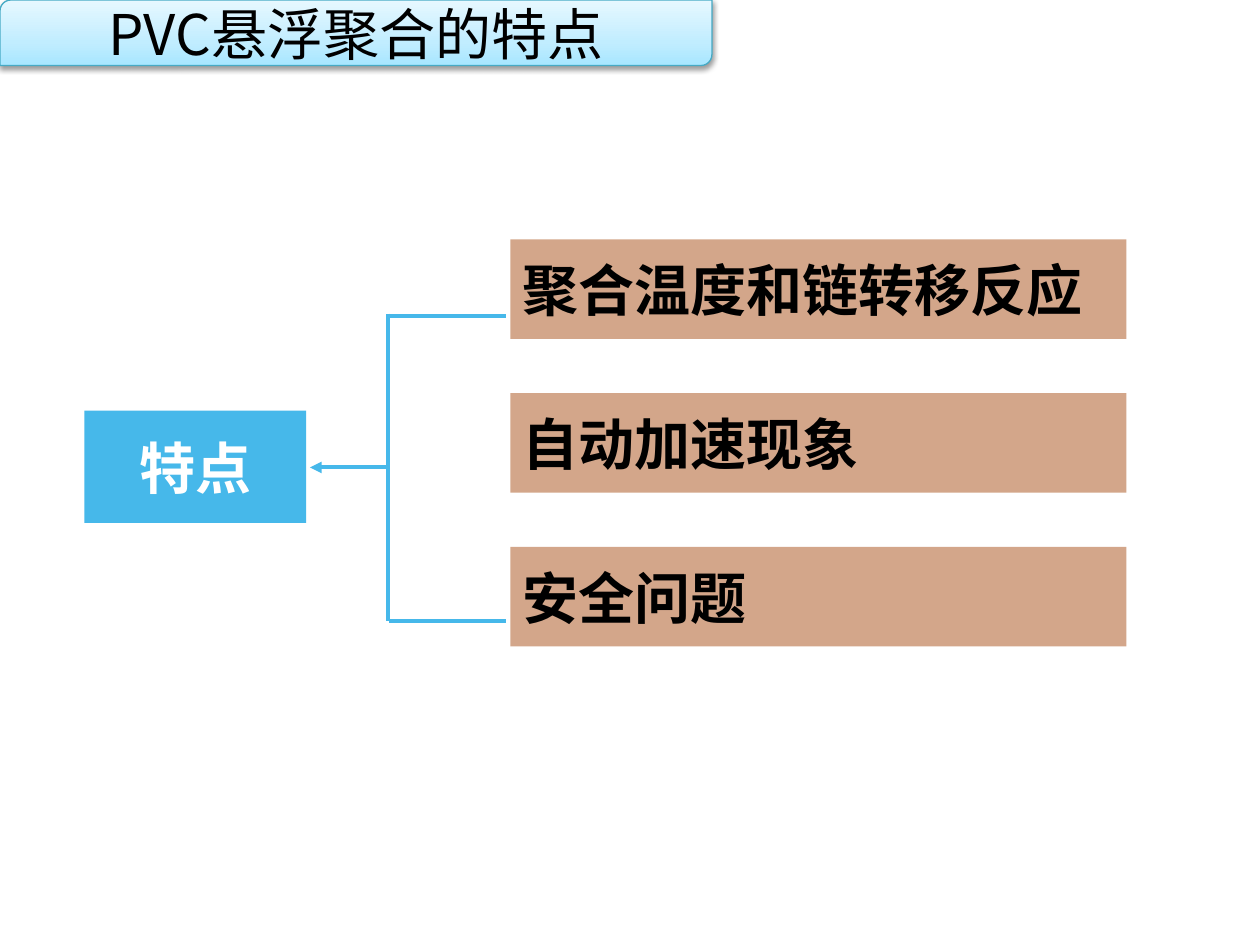
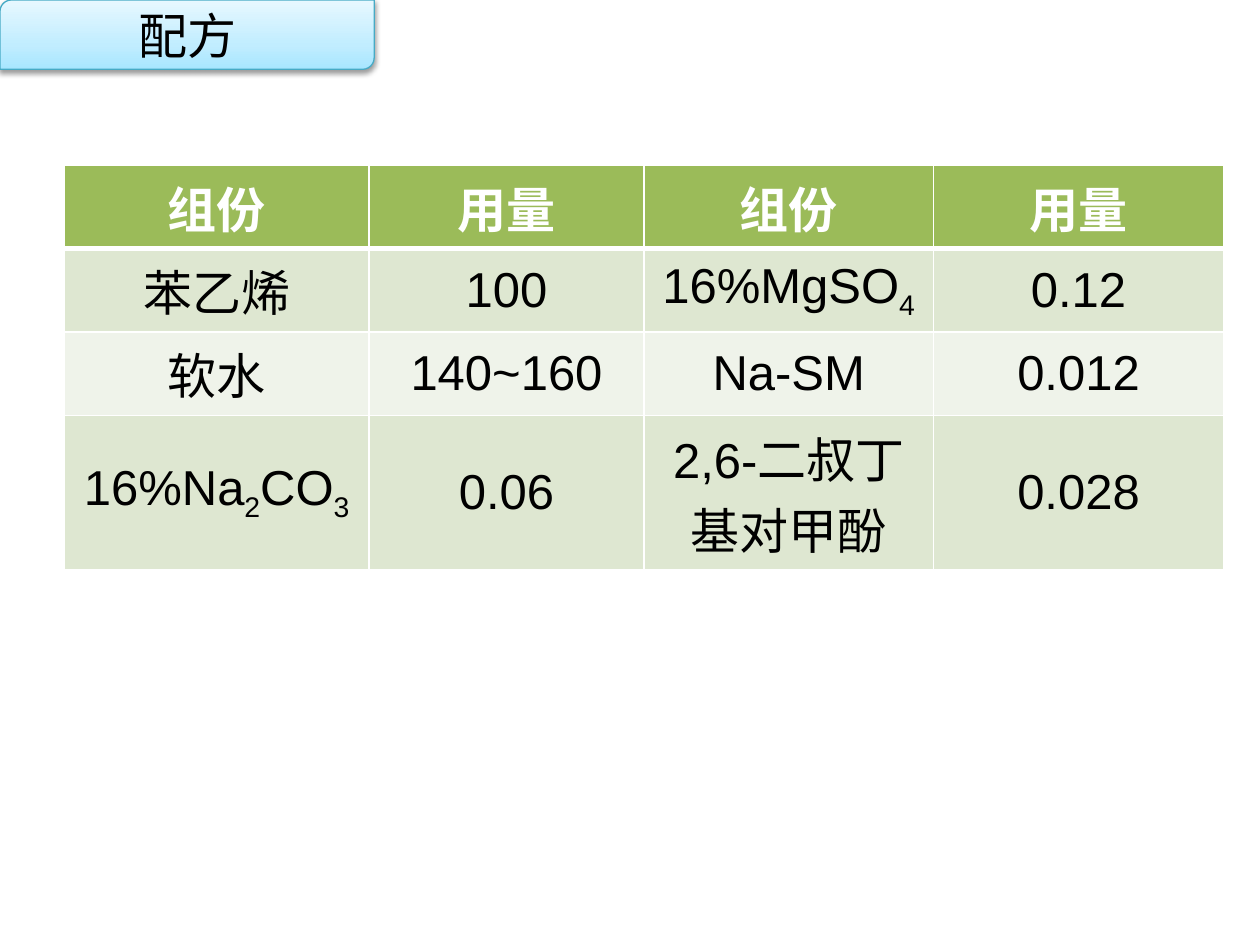
from dataclasses import dataclass

from lxml import etree
from pptx import Presentation
from pptx.dml.color import RGBColor
from pptx.enum.shapes import MSO_CONNECTOR, MSO_SHAPE
from pptx.enum.text import MSO_ANCHOR, MSO_AUTO_SIZE, PP_ALIGN
from pptx.oxml import parse_xml
from pptx.oxml.ns import nsdecls, qn
from pptx.util import Inches, Pt

RECT = MSO_SHAPE.RECTANGLE
BAND = MSO_SHAPE.ROUND_2_DIAG_RECTANGLE
STRAIGHT = MSO_CONNECTOR.STRAIGHT
MIDDLE = MSO_ANCHOR.MIDDLE
LEFT, CENTER = PP_ALIGN.LEFT, PP_ALIGN.CENTER
NO_FIT = MSO_AUTO_SIZE.NONE
TITLE_ONLY = 5


@dataclass(frozen=True)
class Theme:
    cjk: str = "Noto Sans CJK SC"
    latin: str = "Arial"
    black: str = "000000"
    white: str = "FFFFFF"
    blue: str = "46B8EA"
    tan: str = "D3A68A"
    band_line: str = "46AAC5"
    band_stops: tuple = ((0, "A7E6FF"), (35, "C1EDFF"), (100, "E7F8FF"))
    header: str = "9BBB59"
    stripes: tuple = ("DEE7D1", "EFF3EA")
    large: int = 32
    medium: int = 28
    rule: float = 2.25


T = Theme()


@dataclass(frozen=True)
class Box:
    text: str
    left: float
    top: float
    width: float
    height: float
    fill: str
    color: str
    align: PP_ALIGN


@dataclass(frozen=True)
class Link:
    x1: float
    y1: float
    x2: float
    y2: float
    arrow: bool = False


# Shared helpers
def rgb(value: str) -> RGBColor:
    return RGBColor.from_string(value)


def add_run(p, text: str, size: int, color: str, bold: bool = False,
            font: str = T.cjk, subscript: bool = False) -> None:
    r = p.add_run()
    r.text = text
    for name, value in {"name": font, "size": Pt(size), "bold": bold}.items():
        setattr(r.font, name, value)
    r.font.color.rgb = rgb(color)
    rPr = r.font._element
    etree.SubElement(rPr, qn("a:ea")).set("typeface", T.cjk)
    if subscript:
        rPr.set("baseline", "-25000")


def add_title(s, text: str, width: float, height: float, size: int) -> None:
    """Put the title over a glossy band in the top left corner."""
    place = (0, 0, Inches(width), Inches(height))
    band = s.shapes.add_shape(BAND, *place)
    band.line.color.rgb = rgb(T.band_line)
    band.line.width = Pt(0.75)
    spPr = band._element.spPr
    stops = "".join(f'<a:gs pos="{pos * 1000}"><a:srgbClr val="{color}"/></a:gs>'
                    for pos, color in T.band_stops)
    spPr.find(qn("a:ln")).addprevious(parse_xml(
        f'<a:gradFill {nsdecls("a")} rotWithShape="1"><a:gsLst>{stops}</a:gsLst>'
        '<a:lin ang="16200000" scaled="0"/></a:gradFill>'))
    spPr.append(parse_xml(
        f'<a:effectLst {nsdecls("a")}><a:outerShdw blurRad="40000" dist="20000" '
        f'dir="5400000" rotWithShape="0"><a:srgbClr val="{T.black}">'
        '<a:alpha val="38000"/></a:srgbClr></a:outerShdw></a:effectLst>'))

    title = s.shapes.title
    title._element.addprevious(band._element)
    for name, value in zip(("left", "top", "width", "height"), place):
        setattr(title, name, value)
    tf = title.text_frame
    for name, value in {"word_wrap": True, "auto_size": NO_FIT,
                        "vertical_anchor": MIDDLE}.items():
        setattr(tf, name, value)
    p = tf.paragraphs[0]
    p.alignment = CENTER
    add_run(p, text, size, T.black)


def add_box(s, box: Box) -> None:
    sp = s.shapes.add_shape(RECT, Inches(box.left), Inches(box.top),
                            Inches(box.width), Inches(box.height))
    sp.shadow.inherit = False
    sp.fill.solid()
    sp.fill.fore_color.rgb = rgb(box.fill)
    sp.line.fill.background()
    tf = sp.text_frame
    tf.word_wrap = True
    tf.vertical_anchor = MIDDLE
    p = tf.paragraphs[0]
    p.alignment = box.align
    add_run(p, box.text, T.large, box.color, bold=True)


def add_link(s, link: Link) -> None:
    cxn = s.shapes.add_connector(STRAIGHT, Inches(link.x1), Inches(link.y1),
                                 Inches(link.x2), Inches(link.y2))
    cxn.line.color.rgb = rgb(T.blue)
    cxn.line.width = Pt(T.rule)
    if link.arrow:
        ln = cxn.line._get_or_add_ln()
        etree.SubElement(ln, qn("a:tailEnd")).set("type", "triangle")
    etree.SubElement(cxn._element.spPr, qn("a:effectLst"))


def set_borders(cell, **widths: float) -> None:
    tcPr = cell._tc.get_or_add_tcPr()
    for side in "LRTB":
        tcPr.append(parse_xml(
            f'<a:ln{side} {nsdecls("a")} w="{Pt(widths.get(side, 1))}"><a:solidFill>'
            f'<a:srgbClr val="{T.white}"/></a:solidFill></a:ln{side}>'))


# Slide 1: features joined by a bracket
FEATURES = ("聚合温度和链转移反应", "自动加速现象", "安全问题")
FEATURE_TOP, FEATURE_PITCH = 1.9, 1.22
TRUNK_X, BRANCH_END = 3.08, 4.02
UPPER_Y, ROOT_Y, LOWER_Y = 2.51, 3.71, 4.93
LINKS = (
    Link(TRUNK_X, ROOT_Y, 2.46, ROOT_Y, arrow=True),
    Link(TRUNK_X, UPPER_Y - 0.02, TRUNK_X, LOWER_Y),
    Link(TRUNK_X, UPPER_Y, BRANCH_END, UPPER_Y),
    Link(TRUNK_X + 0.01, LOWER_Y, BRANCH_END, LOWER_Y),
)


def build_features(prs) -> None:
    s = prs.slides.add_slide(prs.slide_layouts[TITLE_ONLY])
    add_title(s, "PVC悬浮聚合的特点", 5.65, 0.52, T.large)
    for link in LINKS:
        add_link(s, link)
    add_box(s, Box("特点", 0.67, 3.26, 1.76, 0.89, T.blue, T.white, CENTER))
    for i, text in enumerate(FEATURES):
        add_box(s, Box(text, 4.05, FEATURE_TOP + i * FEATURE_PITCH, 4.89, 0.79,
                       T.tan, T.black, LEFT))


# Slide 2: recipe table; a tuple alternates plain text and subscripts
RECIPE = (
    ("组份", "用量", "组份", "用量"),
    ("苯乙烯", "100", ("16%MgSO", "4"), "0.12"),
    ("软水", "140~160", "Na-SM", "0.012"),
    (("16%Na", "2", "CO", "3"), "0.06", "2,6-二叔丁基对甲酚", "0.028"),
)
COL_WIDTHS = (2.42, 2.18, 2.3, 2.3)
ROW_HEIGHTS = (0.62, 0.62, 0.62, 1.06)


def build_recipe(prs) -> None:
    s = prs.slides.add_slide(prs.slide_layouts[TITLE_ONLY])
    add_title(s, "配方", 2.97, 0.55, T.medium)
    table = s.shapes.add_table(
        len(RECIPE), len(COL_WIDTHS), Inches(0.51), Inches(1.31),
        Inches(sum(COL_WIDTHS)), Inches(sum(ROW_HEIGHTS))).table
    for col, width in zip(table.columns, COL_WIDTHS):
        col.width = Inches(width)
    for row, height in zip(table.rows, ROW_HEIGHTS):
        row.height = Inches(height)

    for i, values in enumerate(RECIPE):
        head = i == 0
        fill = T.header if head else T.stripes[(i - 1) % 2]
        for j, value in enumerate(values):
            cell = table.cell(i, j)
            set_borders(cell, T=3 if i == 1 else 1, B=3 if head else 1)
            cell.fill.solid()
            cell.fill.fore_color.rgb = rgb(fill)
            cell.vertical_anchor = MIDDLE
            p = cell.text_frame.paragraphs[0]
            p.alignment = CENTER
            parts = value if isinstance(value, tuple) else (value,)
            for k, part in enumerate(parts):
                add_run(p, part, T.medium, T.white if head else T.black,
                        bold=head, font=T.latin, subscript=k % 2 == 1)


def main() -> None:
    prs = Presentation()
    prs.slide_width, prs.slide_height = Inches(10), Inches(7.5)
    build_features(prs)
    build_recipe(prs)
    prs.save("out.pptx")


if __name__ == "__main__":
    main()
